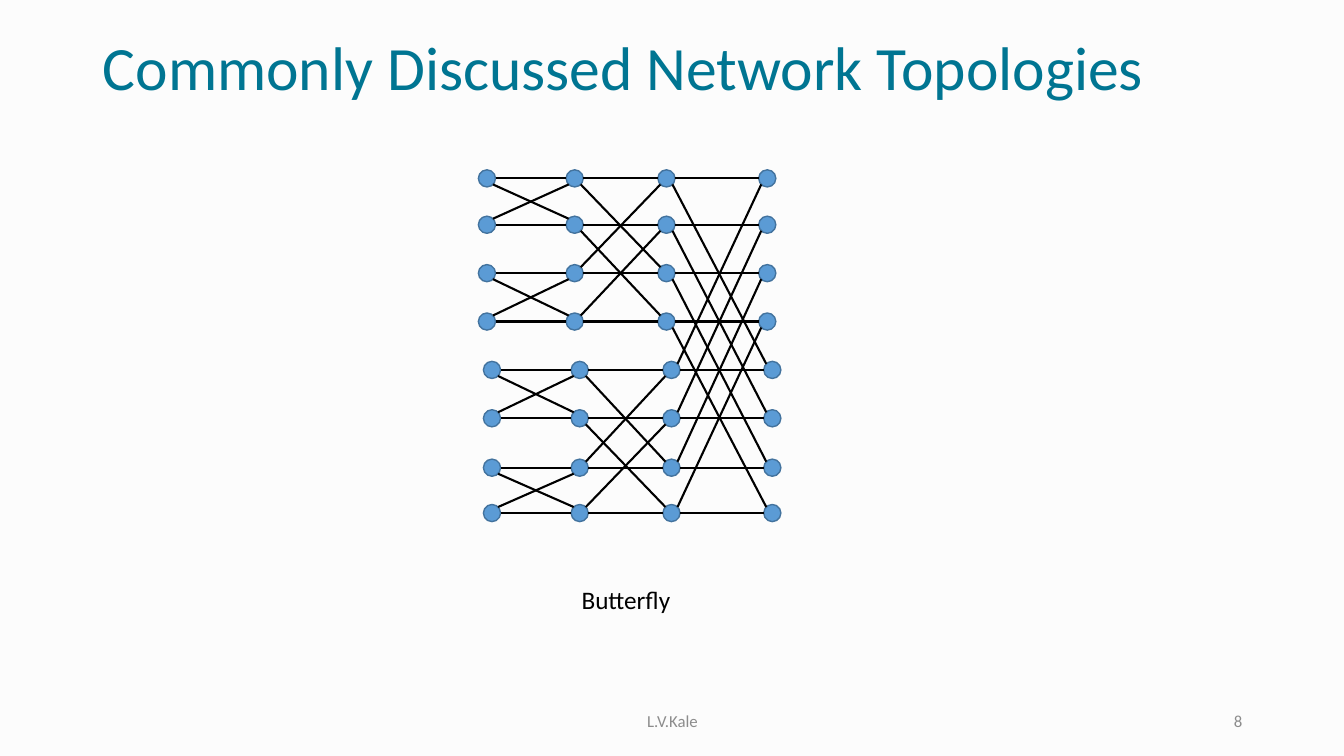
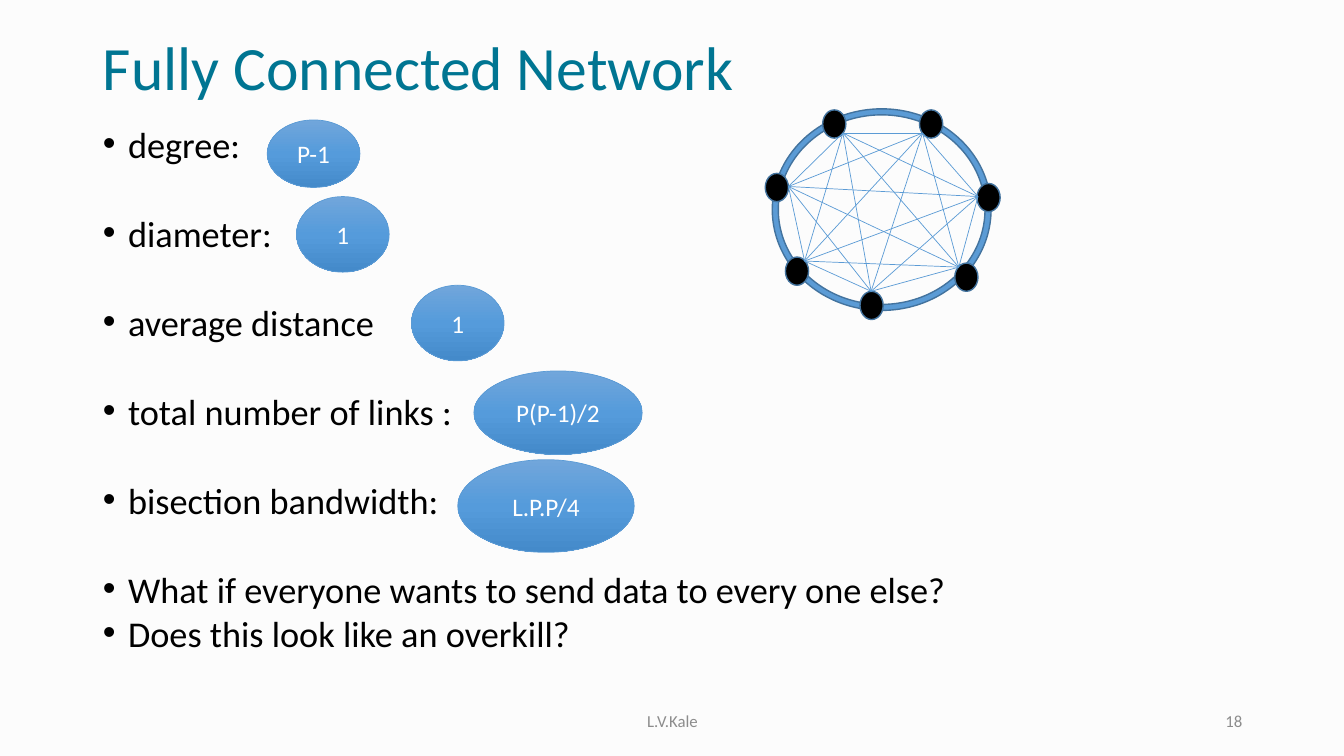
from copy import deepcopy
from dataclasses import dataclass
from itertools import combinations

from pptx import Presentation
from pptx.dml.color import RGBColor
from pptx.enum.shapes import MSO_CONNECTOR, MSO_SHAPE
from pptx.enum.text import MSO_ANCHOR, MSO_AUTO_SIZE, PP_ALIGN
from pptx.oxml.ns import qn
from pptx.oxml.xmlchemy import OxmlElement
from pptx.util import Inches, Pt

LEFT, CENTER, RIGHT = PP_ALIGN.LEFT, PP_ALIGN.CENTER, PP_ALIGN.RIGHT
TOP, MIDDLE = MSO_ANCHOR.TOP, MSO_ANCHOR.MIDDLE
OVAL, DONUT = MSO_SHAPE.OVAL, MSO_SHAPE.DONUT
STRAIGHT = MSO_CONNECTOR.STRAIGHT
NO_AUTOFIT = MSO_AUTO_SIZE.NONE
TITLE_AND_CONTENT, TITLE_ONLY = 1, 5


@dataclass(frozen=True)
class Theme:
    font: str = "Calibri"
    background: str = "FCFCFC"
    title: str = "007592"
    text: str = "000000"
    footer: str = "8C8C8C"
    light: str = "FFFFFF"
    accent: str = "5B9BD5"
    outline: str = "43739E"
    gradient: tuple = ((0, "71A6DB"), (0.5, "559BDB"), (1, "448ACA"))
    title_size: float = 44
    body_size: float = 25.9
    label_size: float = 18
    footer_size: float = 12


THEME = Theme()

# Butterfly network: node centres, in inches
COLUMNS = (4.83, 5.7, 6.61, 7.61)
ROWS = (1.77, 2.23, 2.71, 3.19, 3.67, 4.15, 4.64, 5.09)
LOWER_HALF_SHIFT = 0.05
NODE_SIZE = 0.17
CORNER = 0.06  # offset at which a diagonal link meets its node

# Fully connected network: node position, then the point where its links meet
RING_NODES = (
    ((8.16, 1.09), (8.36, 1.32)),
    ((9.12, 1.09), (9.15, 1.32)),
    ((9.69, 1.82), (9.7, 1.95)),
    ((9.47, 2.61), (9.51, 2.65)),
    ((8.53, 2.89), (8.64, 2.89)),
    ((7.79, 2.55), (7.98, 2.59)),
    ((7.59, 1.72), (7.82, 1.85)),
)

# Bullet text and space before it, in points
SECTION_GAP, LINE_GAP = 41.8, 10
QUESTIONS = (
    ("degree:", LINE_GAP),
    ("diameter:", SECTION_GAP),
    ("average distance", SECTION_GAP),
    ("total number of links :", SECTION_GAP),
    ("bisection bandwidth:", SECTION_GAP),
    ("What if everyone wants to send data to every one else?", SECTION_GAP),
    ("Does this look like an overkill?", LINE_GAP),
)
ANSWERS = (
    ("P-1", (2.65, 1.19, 0.92, 0.67)),
    ("1", (2.94, 1.95, 0.92, 0.75)),
    ("1", (4.08, 2.83, 0.92, 0.75)),
    ("P(P-1)/2", (4.7, 3.68, 1.67, 0.83)),
    ("L.P.P/4", (4.54, 4.56, 1.75, 0.92)),
)


def color(value):
    return RGBColor.from_string(value)


def inches(values):
    return [Inches(value) for value in values]


# Text
def write(para, text, size=THEME.label_size, ink=THEME.text, align=LEFT,
          line_spacing=None, space_before=None):
    para.alignment = align
    if line_spacing is not None:
        para.line_spacing = line_spacing
    if space_before is not None:
        para.space_before = Pt(space_before)
    span = para.add_run()
    span.text = text
    span.font.name = THEME.font
    span.font.size = Pt(size)
    span.font.color.rgb = color(ink)


def add_text_box(slide, area, text, anchor=MIDDLE, **text_format):
    box = slide.shapes.add_textbox(*inches(area))
    box.text_frame.word_wrap = True
    box.text_frame.vertical_anchor = anchor
    write(box.text_frame.paragraphs[0], text, **text_format)


def place(placeholder, area, anchor):
    placeholder.left, placeholder.top, placeholder.width, placeholder.height = inches(area)
    frame = placeholder.text_frame
    frame.auto_size = NO_AUTOFIT
    frame.vertical_anchor = anchor
    return frame


def add_bullets(slide, items):
    frame = place(slide.placeholders[1], (0.92, 1.28, 11.5, 5.48), TOP)
    for index, (text, gap) in enumerate(items):
        para = frame.add_paragraph() if index else frame.paragraphs[0]
        write(para, text, size=THEME.body_size, line_spacing=0.7, space_before=gap)
        properties = para._p.get_or_add_pPr()
        properties.set("marL", str(Inches(0.25)))
        properties.set("indent", str(-Inches(0.25)))


# Shapes
def add_shape(shapes, kind, area, fill=THEME.accent, line=THEME.outline, line_width=1):
    shape = shapes.add_shape(kind, *inches(area))
    shape.shadow.inherit = False
    shape.fill.solid()
    shape.fill.fore_color.rgb = color(fill)
    shape.line.color.rgb = color(line)
    shape.line.width = Pt(line_width)
    return shape


def add_link(shapes, start, end, ink, width):
    link = shapes.add_connector(STRAIGHT, *inches((*start, *end)))
    link.line.color.rgb = color(ink)
    link.line.width = Pt(width)
    link._element.spPr.append(OxmlElement("a:effectLst"))


def apply_gradient(shape):
    shape.fill.gradient()
    shape.fill.gradient_angle = 270
    stop_list = shape._element.spPr.find(qn("a:gradFill")).find(qn("a:gsLst"))
    stop_list.insert(1, deepcopy(stop_list[0]))
    for stop, (position, value) in zip(shape.fill.gradient_stops, THEME.gradient):
        stop.position = position
        stop.color.rgb = color(value)


def add_answer(slide, text, area):
    bubble = add_shape(slide.shapes, OVAL, area, line=THEME.accent, line_width=0.5)
    apply_gradient(bubble)
    bubble.text_frame.vertical_anchor = MIDDLE
    write(bubble.text_frame.paragraphs[0], text, ink=THEME.light, align=CENTER)


# Network diagrams
def butterfly_node(column, row):
    shift = LOWER_HALF_SHIFT if row >= len(ROWS) // 2 else 0
    return COLUMNS[column] + shift, ROWS[row]


def add_butterfly(slide):
    shapes = slide.shapes.add_group_shape().shapes
    radius = NODE_SIZE / 2
    for column in range(len(COLUMNS)):
        for row in range(len(ROWS)):
            x, y = butterfly_node(column, row)
            add_shape(shapes, OVAL, (x - radius, y - radius, NODE_SIZE, NODE_SIZE))
    for stage in range(len(COLUMNS) - 1):
        for row in range(len(ROWS)):
            partner = row ^ (1 << stage)
            slope = CORNER if partner > row else -CORNER
            for target, dx, dy in ((row, radius, 0), (partner, CORNER, slope)):
                x1, y1 = butterfly_node(stage, row)
                x2, y2 = butterfly_node(stage + 1, target)
                add_link(shapes, (x1 + dx, y1 + dy), (x2 - dx, y2 - dy), THEME.text, 1.5)


def add_full_mesh(slide):
    shapes = slide.shapes.add_group_shape().shapes
    ring = add_shape(shapes, DONUT, (7.66, 1.08, 2.17, 2))
    ring.adjustments[0] = 0.03
    for corner, _ in RING_NODES:
        add_shape(shapes, OVAL, (*corner, 0.23, 0.28), fill=THEME.text)
    for (_, start), (_, end) in combinations(RING_NODES, 2):
        add_link(shapes, start, end, THEME.accent, 0.5)


# Slides
def add_slide(deck, layout, title, number):
    slide = deck.slides.add_slide(deck.slide_layouts[layout])
    frame = place(slide.shapes.title, (0.92, 0.28, 11.5, 0.84), MIDDLE)
    write(frame.paragraphs[0], title, size=THEME.title_size, ink=THEME.title,
          line_spacing=0.9)
    for area, text, align in (((4.42, 6.95, 4.5, 0.4), "L.V.Kale", CENTER),
                              ((9.42, 6.95, 3, 0.4), str(number), RIGHT)):
        add_text_box(slide, area, text, size=THEME.footer_size, ink=THEME.footer,
                     align=align)
    return slide


def main():
    deck = Presentation()
    deck.slide_width, deck.slide_height = Inches(13.33), Inches(7.5)
    background = deck.slide_master.background.fill
    background.solid()
    background.fore_color.rgb = color(THEME.background)

    # Butterfly topology
    slide = add_slide(deck, TITLE_ONLY, "Commonly Discussed Network Topologies", 8)
    add_text_box(slide, (5.67, 5.75, 1.33, 0.42), "Butterfly", anchor=TOP)
    add_butterfly(slide)

    # Fully connected topology
    slide = add_slide(deck, TITLE_AND_CONTENT, "Fully Connected Network", 18)
    add_bullets(slide, QUESTIONS)
    for text, area in ANSWERS:
        add_answer(slide, text, area)
    add_full_mesh(slide)

    deck.save("out.pptx")


if __name__ == "__main__":
    main()
